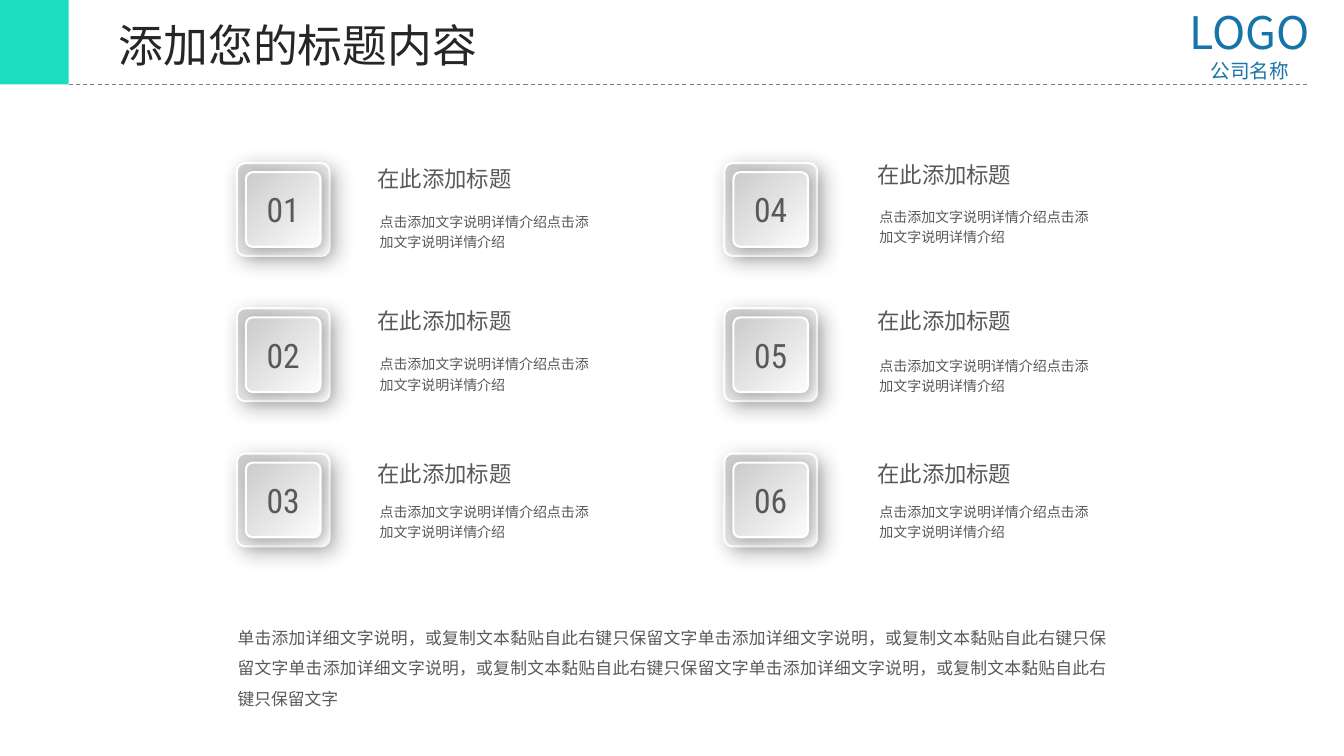
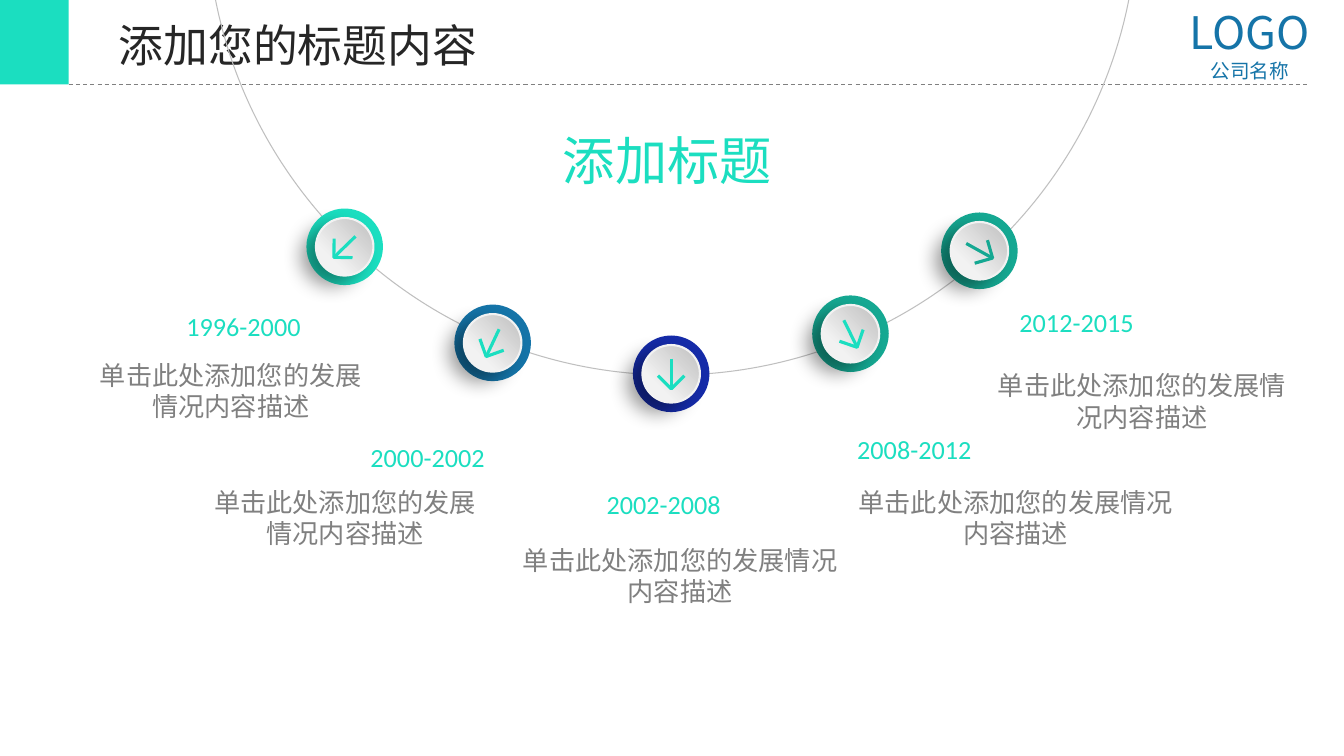
from math import cos, radians, sin

from lxml import etree
from pptx import Presentation
from pptx.dml.color import RGBColor
from pptx.enum.dml import MSO_LINE
from pptx.enum.shapes import MSO_CONNECTOR, MSO_SHAPE
from pptx.enum.text import MSO_ANCHOR, PP_ALIGN
from pptx.oxml.ns import qn
from pptx.util import Cm, Pt

ROUNDED, OVAL, RECT = MSO_SHAPE.ROUNDED_RECTANGLE, MSO_SHAPE.OVAL, MSO_SHAPE.RECTANGLE
STRAIGHT, DASH, TOP = MSO_CONNECTOR.STRAIGHT, MSO_LINE.DASH, MSO_ANCHOR.TOP
LEFT, CENTER, JUSTIFY = PP_ALIGN.LEFT, PP_ALIGN.CENTER, PP_ALIGN.JUSTIFY

MINT, TEAL, NAVY, BLUE = "1BDEC0", "15A892", "152BA8", "1574A8"
INK, DARK, GREY, SILVER = "262626", "595959", "808080", "BFBFBF"
CJK, CJK_TITLE, LATIN, DIGITS = "Noto Sans CJK SC", "Noto Sans CJK JP", "Calibri", "Roboto Condensed"
TILE_GRADIENT = ((0.01, "CCCCCC"), (1, "FCFCFC"), 315)
DISC_GRADIENT = ((0.27, "F2F2F2"), (1, SILVER), 45)

rgb = RGBColor.from_string


def paint(sp, fill=None, line=None, width=0.75, shadow=None):
    """Fill is a hex colour or (stop, stop, angle); shadow is (alpha %, blur pt, distance pt, angle)."""
    if isinstance(fill, tuple):
        sp.fill.gradient()
        sp.fill.gradient_angle = fill[2]
        for stop, (position, color) in zip(sp.fill.gradient_stops, fill):
            stop.position = position
            stop.color.rgb = rgb(color)
    elif fill:
        sp.fill.solid()
        sp.fill.fore_color.rgb = rgb(fill)
    elif hasattr(sp, "fill"):
        sp.fill.background()
    if line:
        sp.line.color.rgb = rgb(line)
        sp.line.width = Pt(width)
    else:
        sp.line.fill.background()
    effects = etree.SubElement(sp._element.spPr, qn("a:effectLst"))
    if shadow:
        alpha, blur, distance, angle = shadow
        outer = etree.SubElement(effects, qn("a:outerShdw"), blurRad=str(Pt(blur)), dist=str(Pt(distance)),
                                 dir=str(angle * 60000), algn="ctr", rotWithShape="0")
        black = etree.SubElement(outer, qn("a:srgbClr"), val="000000")
        etree.SubElement(black, qn("a:alpha"), val=str(alpha * 1000))


def write(sp, text, size, color, font, align=LEFT, spacing=None):
    tf = sp.text_frame
    tf.word_wrap = True
    tf.text = text
    for p in tf.paragraphs:
        p.alignment = align
        p.line_spacing = spacing
        p.font.size = Pt(size)
        p.font.name = font
        p.font.color.rgb = rgb(color)


prs = Presentation()
prs.slide_width, prs.slide_height = Cm(33.88), Cm(19.05)

# Header shared by both slides
for _ in range(2):
    s = prs.slides.add_slide(prs.slide_layouts[5])
    rule = s.shapes.add_connector(STRAIGHT, Cm(1.73), Cm(2.13), Cm(32.94), Cm(2.13))
    paint(rule, line=GREY)
    rule.line.dash_style = DASH
    paint(s.shapes.add_shape(RECT, 0, 0, Cm(1.73), Cm(2.13)), MINT)
    title = s.shapes.title
    title.left, title.top, title.width, title.height = Cm(2.74), Cm(0.33), Cm(13.79), Cm(1.63)
    write(title, "添加您的标题内容", 32, INK, CJK_TITLE)
    title.text_frame.vertical_anchor = TOP
    company = s.shapes.add_textbox(Cm(29.41), 0, Cm(4.19), Cm(2.31))
    write(company, "LOGO\n公司名称", 32, BLUE, CJK_TITLE, CENTER)
    company.text_frame.paragraphs[1].font.size = Pt(14)

tiles_slide, timeline_slide = prs.slides

# Slide 1: six numbered tiles in two columns
s = tiles_slide
columns = [  # tile left, text left, (heading top, description top) by row
    (5.97, 9.27, [(4.04, 5.16), (7.62, 8.76), (11.46, 12.47)]),
    (18.26, 21.87, [(3.94, 5.05), (7.62, 8.79), (11.46, 12.47)]),
]
number = 0
for tile_x, text_x, tops in columns:
    for row, (heading_y, description_y) in enumerate(tops):
        number += 1
        tile_y = 4.11 + 3.66 * row
        for inset, shadow in ((0, (30, 15, 5, 45)), (0.23, (30, 11, 3, 45))):
            side = Cm(2.34 - 2 * inset)
            tile = s.shapes.add_shape(ROUNDED, Cm(tile_x + inset), Cm(tile_y + inset), side, side)
            tile.adjustments[0] = 0.09
            paint(tile, TILE_GRADIENT, "FFFFFF", 1.5, shadow)
        write(tile, f"{number:02}", 24, DARK, DIGITS, CENTER)
        heading = s.shapes.add_textbox(Cm(text_x), Cm(heading_y), Cm(6.45), Cm(0.94))
        write(heading, "在此添加标题", 16, DARK, CJK)
        description = s.shapes.add_textbox(Cm(text_x + 0.05), Cm(description_y), Cm(5.94), Cm(1.27))
        write(description, "点击添加文字说明详情介绍" * 2, 10, DARK, CJK, spacing=1.2)

summary = s.shapes.add_textbox(Cm(5.74), Cm(15.44), Cm(22.43), Cm(2.57))
sentence = "单击添加详细文字说明，或复制文本黏贴自此右键只保留文字"
write(summary, sentence * 4, 12, DARK, CJK, JUSTIFY, 1.5)

# Slide 2: timeline along an arc
s = timeline_slide
caption = s.shapes.add_textbox(Cm(13.94), Cm(3.12), Cm(6.35), Cm(1.85))
write(caption, "添加标题", 37.3, MINT, LATIN)
paint(s.shapes.add_shape(OVAL, Cm(5.21), Cm(-14.02), Cm(23.47), Cm(23.47)), line=SILVER)

RING, DISC, SHAFT, BARB = 1.93, 1.45, 0.76, 0.47
milestones = [  # centre, ring colour, arrow colour, arrow angle
    (24.69, 6.32, TEAL, TEAL, 29),
    (21.44, 8.41, TEAL, MINT, 63.8),
    (16.92, 9.42, NAVY, MINT, 90),
    (12.42, 8.64, BLUE, MINT, 115.4),
    (8.69, 6.22, MINT, MINT, 135.9),
]
for x, y, ring_color, arrow_color, angle in milestones:
    ring = s.shapes.add_shape(OVAL, Cm(x - RING / 2), Cm(y - RING / 2), Cm(RING), Cm(RING))
    paint(ring, ring_color)
    disc = s.shapes.add_shape(OVAL, Cm(x - DISC / 2), Cm(y - DISC / 2), Cm(DISC), Cm(DISC))
    paint(disc, DISC_GRADIENT, "F2F2F2", 1.5, (40, 14, 12, 147))
    dx, dy = SHAFT / 2 * cos(radians(angle)), SHAFT / 2 * sin(radians(angle))
    tip = Cm(x + dx), Cm(y + dy)
    paint(s.shapes.add_connector(STRAIGHT, Cm(x - dx), Cm(y - dy), *tip), line=arrow_color, width=2.25)
    barbs = [(tip[0] - Cm(BARB * cos(radians(angle + turn))), tip[1] - Cm(BARB * sin(radians(angle + turn))))
             for turn in (45, -45)]
    builder = s.shapes.build_freeform(*barbs[0])
    builder.add_line_segments([tip, barbs[1]], close=False)
    paint(builder.convert_to_shape(), line=arrow_color, width=2.25)

periods = [  # years, left and top; description left, top and width
    ("1996-2000", 4.45, 7.7, 2.16, 8.92, 7.32),
    ("2000-2002", 9.09, 11, 4.85, 12.12, 7.7),
    ("2002-2008", 15.04, 12.19, 12.88, 13.59, 8.53),
    ("2008-2012", 21.36, 10.8, 21.21, 12.12, 8.79),
    ("2012-2015", 25.45, 7.59, 24.66, 9.19, 8.26),
]
for years, years_x, years_y, x, y, width in periods:
    write(s.shapes.add_textbox(Cm(years_x), Cm(years_y), Cm(3.8), Cm(1.07)), years, 18.7, MINT, LATIN)
    description = s.shapes.add_textbox(Cm(x), Cm(y), Cm(width), Cm(1.85))
    write(description, "单击此处添加您的发展情况内容描述", 18.7, GREY, LATIN, CENTER)

prs.save("out.pptx")
